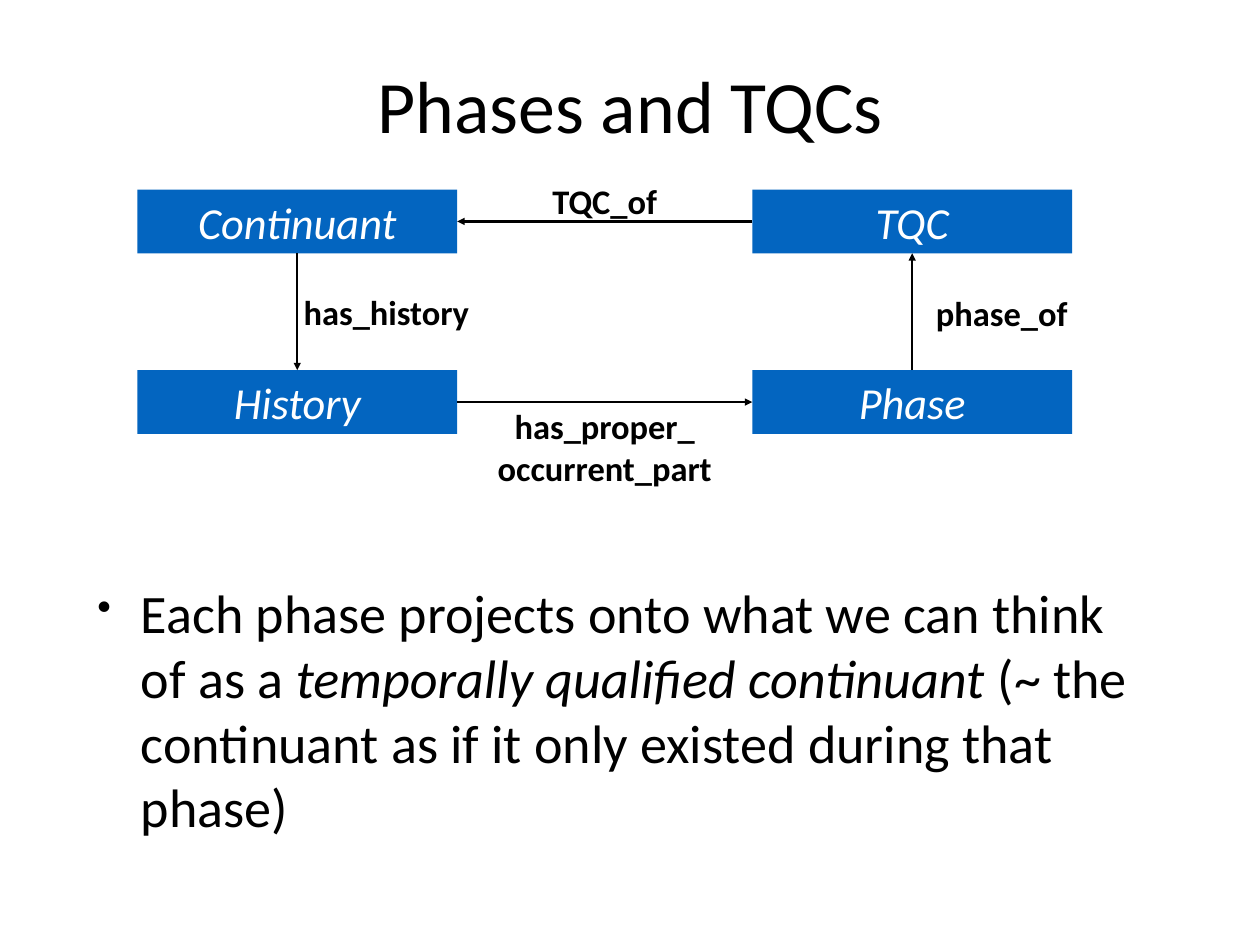
from lxml import etree
from pptx import Presentation
from pptx import util as u
from pptx.dml.color import RGBColor
from pptx.enum import shapes, text
from pptx.oxml.ns import qn

# Content: box name -> (column, row)
TITLE = "Phases and TQCs"
BOXES = {"Continuant": (0, 0), "History": (0, 1), "Phase": (1, 1), "TQC": (1, 0)}
TOP, LEFT, BOTTOM, RIGHT = range(4)
# Start box, its side, end box, its side
ARROWS = [
    ("Continuant", BOTTOM, "History", TOP),
    ("History", RIGHT, "Phase", LEFT),
    ("Phase", TOP, "TQC", BOTTOM),
    ("TQC", LEFT, "Continuant", RIGHT),
]
BODY = [
    ("Each phase projects onto what we can think of as a ", False),
    ("temporally qualified continuant", True),
    (" (~ the continuant as if it only existed during that phase)", False),
]

# Grid, in inches
WIDTH, HEIGHT = 14.22, 10.67
MARGIN = 1.04
GRID_LEFT, GRID_TOP = 1.55, 2.14
BOX_WIDTH, BOX_HEIGHT = 3.61, 0.72
GAP_X, GAP_Y = 3.33, 1.32
GAP_LEFT = GRID_LEFT + BOX_WIDTH
GRID_RIGHT = GAP_LEFT + GAP_X + BOX_WIDTH
LABEL_HEIGHT = 0.58

# Label, left, top, width, height, wrap
LABELS = [
    ("has_history", GRID_LEFT + BOX_WIDTH / 2, 3.23, 2.01, LABEL_HEIGHT, False),
    ("phase_of", GRID_RIGHT - 1.6, 3.24, 1.61, LABEL_HEIGHT, False),
    ("has_proper_\noccurrent_part", GAP_LEFT, 4.52, GAP_X, 1.05, True),
    ("TQC_of", GAP_LEFT, 1.98, GAP_X, LABEL_HEIGHT, True),
]
FONT, BLACK, WHITE, BLUE = "Calibri", "000000", "FFFFFF", "0365C0"


def color(value):
    return RGBColor.from_string(value)


def inches(*values):
    return [u.Inches(value) for value in values]


def set_text(shape, content, size, ink=BLACK, bold=False, italic=False,
             align=text.PP_ALIGN.CENTER, wrap=True, grow=False):
    frame = shape.text_frame
    frame.text = content
    frame.word_wrap = wrap
    frame.vertical_anchor = text.MSO_ANCHOR.MIDDLE
    frame.auto_size = (text.MSO_AUTO_SIZE.SHAPE_TO_FIT_TEXT if grow
                       else text.MSO_AUTO_SIZE.NONE)
    frame.margin_left = frame.margin_right = u.Inches(0.06)
    frame.margin_top = frame.margin_bottom = u.Inches(0.06)
    for paragraph in frame.paragraphs:
        paragraph.alignment = align
        for run in paragraph.runs:
            format_run(run, size, ink, bold, italic)


def format_run(run, size, ink=BLACK, bold=False, italic=False):
    run.font.name, run.font.size = FONT, u.Pt(size)
    run.font.bold, run.font.italic = bold, italic
    run.font.color.rgb = color(ink)


def add_box(slide, name, column, row):
    left = GRID_LEFT + column * (BOX_WIDTH + GAP_X)
    top = GRID_TOP + row * (BOX_HEIGHT + GAP_Y)
    box = slide.shapes.add_shape(shapes.MSO_SHAPE.RECTANGLE,
                                 *inches(left, top, BOX_WIDTH, BOX_HEIGHT))
    box.shadow.inherit = False
    box.fill.solid()
    box.fill.fore_color.rgb = color(BLUE)
    box.line.fill.background()
    set_text(box, name, 36, WHITE, italic=True, grow=True)
    return box


def add_arrow(slide, start, start_side, end, end_side):
    arrow = slide.shapes.add_connector(shapes.MSO_CONNECTOR.STRAIGHT, 0, 0, 0, 0)
    arrow.begin_connect(start, start_side)
    arrow.end_connect(end, end_side)
    arrow.line.width = u.Pt(2)
    arrow.line.color.rgb = color(BLACK)
    etree.SubElement(arrow.line._get_or_add_ln(), qn("a:tailEnd"), type="triangle")
    etree.SubElement(arrow._element.spPr, qn("a:effectLst"))


def add_body(slide):
    body = slide.shapes.add_textbox(*inches(MARGIN, 5.84, WIDTH - 2 * MARGIN, 4.33))
    set_text(body, "", 44, align=text.PP_ALIGN.LEFT)
    paragraph = body.text_frame.paragraphs[0]
    properties = paragraph._p.get_or_add_pPr()
    indent = u.Inches(0.49)
    properties.set("marL", str(indent))
    properties.set("indent", str(-indent))
    etree.SubElement(properties, qn("a:buSzPct"), val="75000")
    etree.SubElement(properties, qn("a:buChar"), char="•")
    for content, italic in BODY:
        run = paragraph.add_run()
        run.text = content
        format_run(run, 44, italic=italic)


def main():
    presentation = Presentation()
    presentation.slide_width, presentation.slide_height = inches(WIDTH, HEIGHT)
    slide = presentation.slides.add_slide(presentation.slide_layouts[6])

    # Explanation and title
    add_body(slide)
    title = slide.shapes.add_textbox(*inches(MARGIN, 0, WIDTH - 2 * MARGIN, 2.36))
    set_text(title, TITLE, 60)

    # Diagram
    boxes = {name: add_box(slide, name, *cell) for name, cell in BOXES.items()}
    for start, start_side, end, end_side in ARROWS:
        add_arrow(slide, boxes[start], start_side, boxes[end], end_side)
    for content, left, top, width, height, wrap in LABELS:
        label = slide.shapes.add_textbox(*inches(left, top, width, height))
        set_text(label, content, 28, bold=True, wrap=wrap, grow=True)

    presentation.save("out.pptx")


if __name__ == "__main__":
    main()
